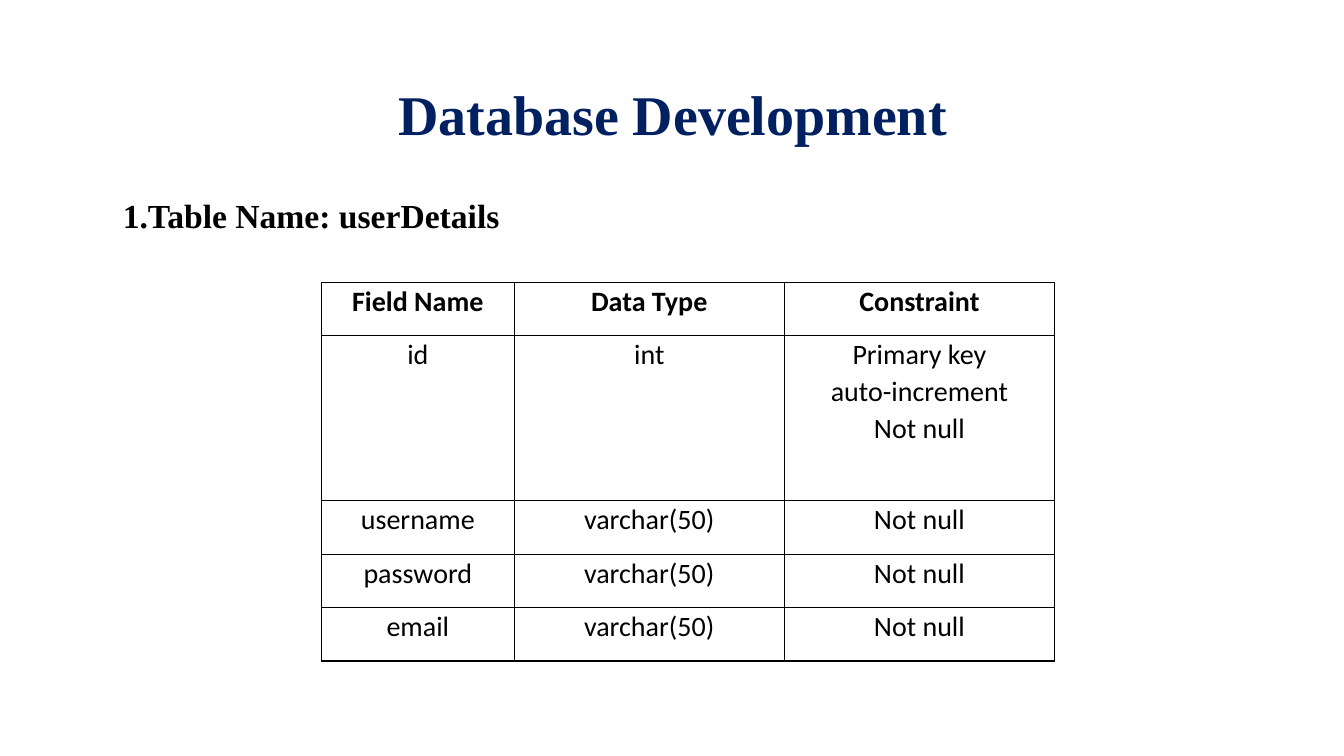
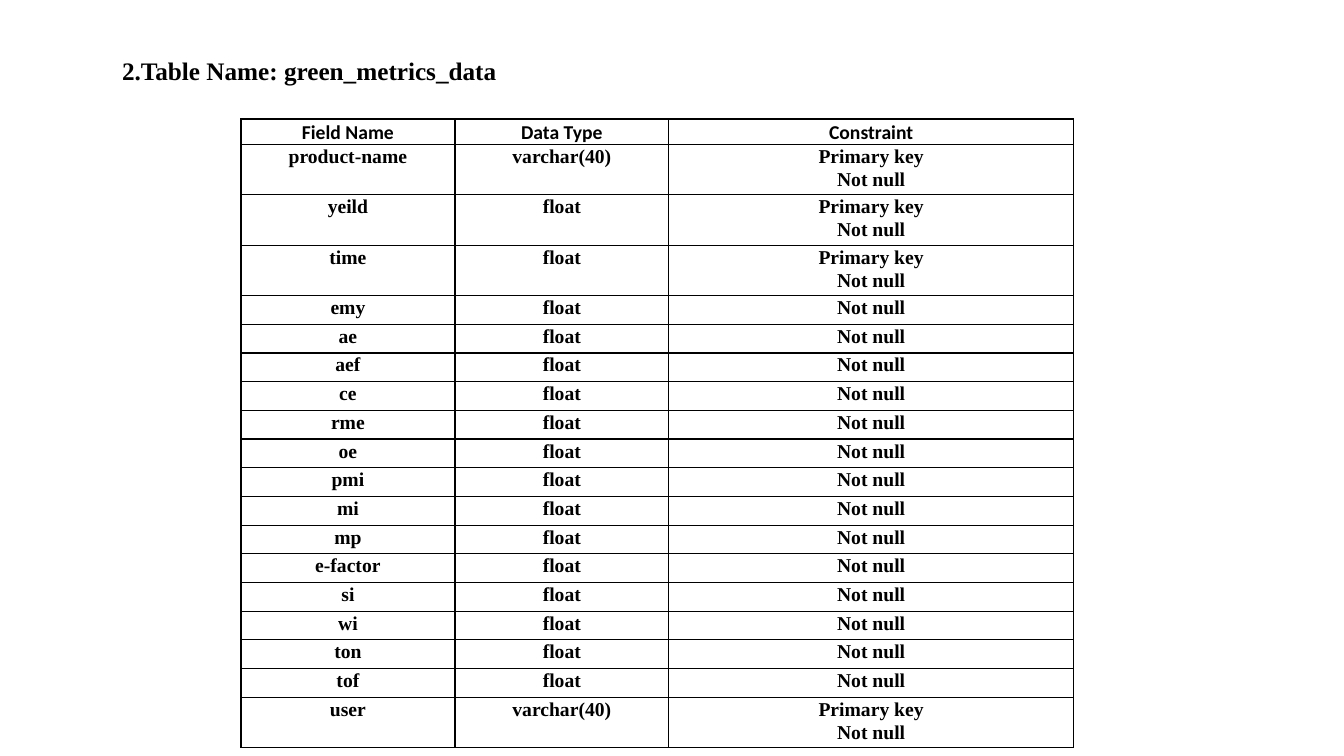
from dataclasses import dataclass

from lxml import etree
from pptx import Presentation
from pptx import util as u
from pptx.dml.color import RGBColor
from pptx.enum import text
from pptx.oxml import ns

# Shared style
BLACK = RGBColor(0x00, 0x00, 0x00)
NAVY = RGBColor(0x00, 0x20, 0x60)
SERIF, SANS = "Times New Roman", "Calibri"
SLIDE_WIDTH, SLIDE_HEIGHT = u.Inches(13.33), u.Inches(7.5)
TITLE_ONLY = 5
LINE_SPACING = 1.07
BORDER = u.Pt(1)

NOT_NULL = "Not null"
KEY = f"Primary key\n{NOT_NULL}"
HEADER = ("Field Name", "Data Type", "Constraint")


@dataclass(frozen=True)
class Area:
    """A rectangle in percent of the slide's width and height."""
    left: float
    top: float
    width: float
    height: float

    def lengths(self) -> tuple[int, int, int, int]:
        return (int(SLIDE_WIDTH * self.left / 100), int(SLIDE_HEIGHT * self.top / 100),
                int(SLIDE_WIDTH * self.width / 100), int(SLIDE_HEIGHT * self.height / 100))


@dataclass(frozen=True)
class Font:
    name: str
    size: int
    bold: bool = True
    color: RGBColor = BLACK


@dataclass(frozen=True)
class FieldTable:
    """Field rows with column and row sizes as relative weights."""
    area: Area
    columns: tuple[float, ...]
    rows: list[float]
    fields: list[tuple[str, str, str]]
    header_font: Font
    body_font: Font
    side_margin: float


# Content
USER_DETAILS = FieldTable(
    area=Area(23.93, 37.33, 54.54, 50.13),
    columns=(1.91, 2.68, 2.68),
    rows=[1, 3.09, 1, 1, 1],
    fields=[("id", "int", f"Primary key\nauto-increment\n{NOT_NULL}")]
    + [(name, "varchar(50)", NOT_NULL) for name in ("username", "password", "email")],
    header_font=Font(SANS, 20),
    body_font=Font(SANS, 20, bold=False),
    side_margin=0.07,
)

METRICS = ("emy", "ae", "aef", "ce", "rme", "oe", "pmi", "mi", "mp",
           "e-factor", "si", "wi", "ton", "tof")
GREEN_METRICS = FieldTable(
    area=Area(17.93, 15.73, 61.95, 83.2),
    columns=(2.12, 2.12, 4.01),
    rows=[1] + [2] * 3 + [1.14] * len(METRICS) + [2],
    fields=[("product-name", "varchar(40)", KEY), ("yeild", "float", KEY),
            ("time", "float", KEY)]
    + [(name, "float", NOT_NULL) for name in METRICS]
    + [("user", "varchar(40)", KEY)],
    header_font=Font(SANS, 14),
    body_font=Font(SERIF, 14),
    side_margin=0.06,
)


# Drawing
def write_line(paragraph, line: str, font: Font, alignment) -> None:
    paragraph.alignment = alignment
    run = paragraph.add_run()
    run.text = line
    run.font.name = font.name
    run.font.size = u.Pt(font.size)
    run.font.bold = font.bold
    run.font.color.rgb = font.color


def write_heading(shape, line: str, font: Font, alignment=text.PP_ALIGN.LEFT) -> None:
    frame = shape.text_frame
    frame.word_wrap = True
    frame.auto_size = text.MSO_AUTO_SIZE.NONE
    frame.vertical_anchor = text.MSO_ANCHOR.TOP
    write_line(frame.paragraphs[0], line, font, alignment)


def add_title(slide, area: Area, line: str, font: Font, alignment=text.PP_ALIGN.LEFT) -> None:
    title = slide.shapes.title
    title.left, title.top, title.width, title.height = area.lengths()
    write_heading(title, line, font, alignment)


def add_borders(cell) -> None:
    properties = cell._tc.get_or_add_tcPr()
    for side in ("a:lnL", "a:lnR", "a:lnT", "a:lnB"):
        line = etree.SubElement(properties, ns.qn(side), w=str(BORDER))
        fill = etree.SubElement(line, ns.qn("a:solidFill"))
        etree.SubElement(fill, ns.qn("a:srgbClr"), val=str(BLACK))


def fill_cell(cell, content: str, font: Font, side_margin: float) -> None:
    cell.margin_left = cell.margin_right = u.Inches(side_margin)
    cell.margin_top = cell.margin_bottom = 0
    add_borders(cell)
    cell.fill.background()
    frame = cell.text_frame
    for index, line in enumerate(content.split("\n")):
        paragraph = frame.add_paragraph() if index else frame.paragraphs[0]
        paragraph.line_spacing = LINE_SPACING
        write_line(paragraph, line, font, text.PP_ALIGN.CENTER)


def add_field_table(slide, design: FieldTable) -> None:
    left, top, width, height = design.area.lengths()
    table = slide.shapes.add_table(
        len(design.rows), len(design.columns), left, top, width, height).table
    table.first_row = table.horz_banding = False
    for column, weight in zip(table.columns, design.columns):
        column.width = int(width * weight / sum(design.columns))
    for row, weight in zip(table.rows, design.rows):
        row.height = int(height * weight / sum(design.rows))
    for row_index, contents in enumerate([HEADER, *design.fields]):
        font = design.body_font if row_index else design.header_font
        for column_index, content in enumerate(contents):
            fill_cell(table.cell(row_index, column_index), content, font, design.side_margin)


def main() -> None:
    presentation = Presentation()
    presentation.slide_width, presentation.slide_height = SLIDE_WIDTH, SLIDE_HEIGHT
    layout = presentation.slide_layouts[TITLE_ONLY]

    # User details
    slide = presentation.slides.add_slide(layout)
    add_title(slide, Area(0.83, 9.87, 98.42, 10.27), "Database Development",
              Font(SERIF, 40, color=NAVY), text.PP_ALIGN.CENTER)
    subtitle = slide.shapes.add_textbox(*Area(8.4, 25.07, 37.51, 10.8).lengths())
    write_heading(subtitle, "1.Table Name: userDetails", Font(SERIF, 24))
    add_field_table(slide, USER_DETAILS)

    # Green metrics
    slide = presentation.slides.add_slide(layout)
    add_title(slide, Area(8.33, 6.67, 41.71, 9.47), "2.Table Name: green_metrics_data",
              Font(SERIF, 18))
    add_field_table(slide, GREEN_METRICS)

    presentation.save("out.pptx")


if __name__ == "__main__":
    main()
